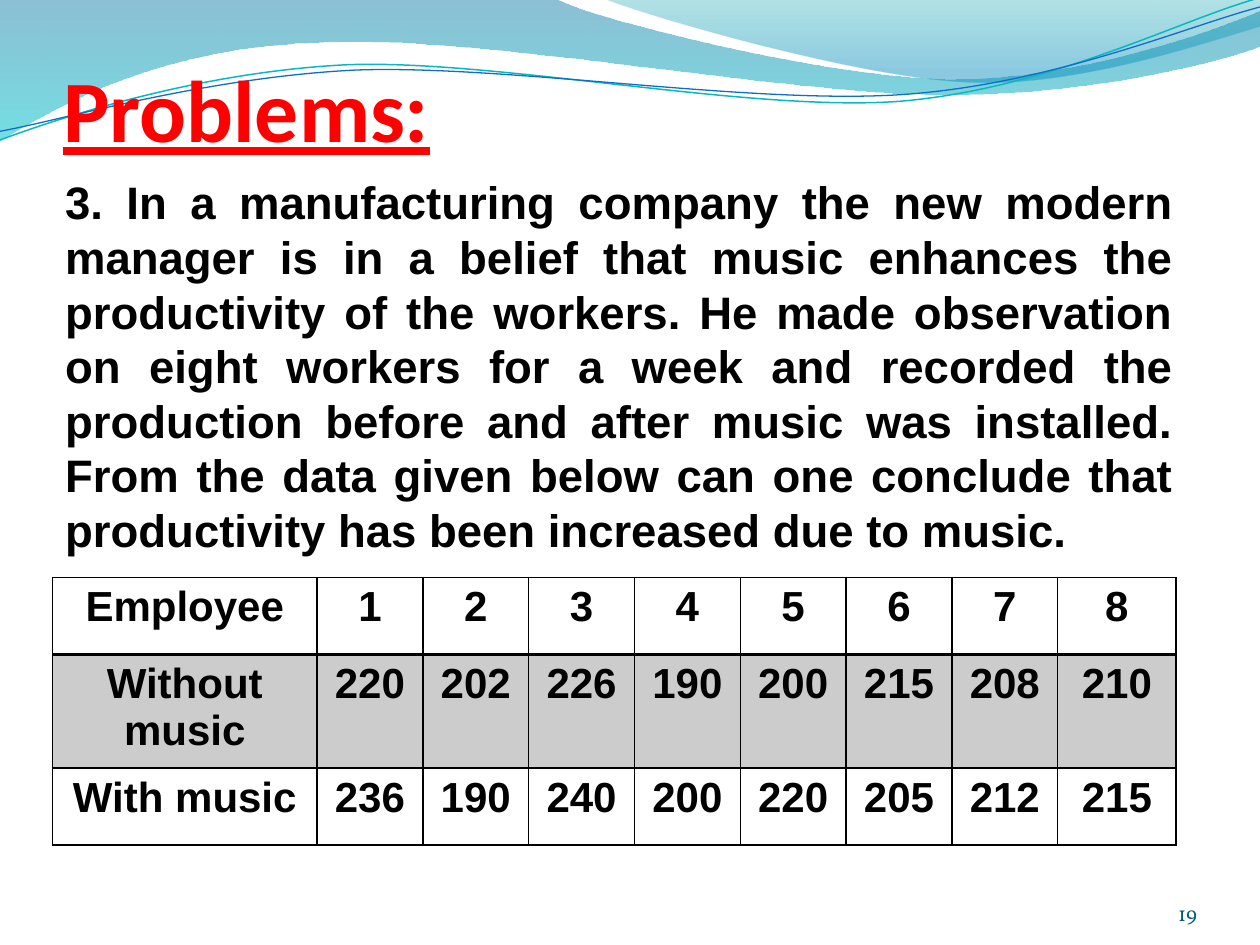
from lxml.etree import SubElement
from pptx import Presentation
from pptx.dml.color import RGBColor
from pptx.enum.text import MSO_ANCHOR, MSO_AUTO_SIZE, PP_ALIGN
from pptx.oxml.ns import qn
from pptx.util import Pt


def rgb(value):
    return RGBColor.from_string(value)


def write(frame, text, size, color="000000", font="Arial", bold=True,
          underline=False, align=PP_ALIGN.LEFT, insets=None, anchor=None):
    paragraph = frame.paragraphs[0]
    paragraph.alignment = align
    run = paragraph.add_run()
    run.text = text
    run.font.size, run.font.name = Pt(size), font
    run.font.bold, run.font.underline = bold, underline
    run.font.color.rgb = rgb(color)
    if insets:
        (frame.margin_left, frame.margin_top,
         frame.margin_right, frame.margin_bottom) = map(Pt, insets)
    if anchor is not None:
        frame.vertical_anchor = anchor
    return paragraph


deck = Presentation()
deck.slide_width, deck.slide_height = Pt(720), Pt(540)
slide = deck.slides.add_slide(deck.slide_layouts[1])
shapes = slide.shapes
title, body = slide.placeholders

# Waves: pairs are straight segments, sixes are Bezier curves
bands = [
    ([(0, 0), (317, -1), (343, 12, 478, 45, 546, 45), (614, 45, 690, 19, 720, 6),
      (721, 26), (708, 32, 626, 55, 537, 54), (448, 54, 275, 20, 185, 24),
      (93, 26, 33, 60, -1, 81)],
     [(0, "0074A1", 45), (1, "00C6CF", 55)], None),
    ([(345, -1), (366, 8, 491, 45, 554, 47), (616, 50, 692, 23, 720, 15), (720, 0)],
     [(0, "00A1A9", 30), (0.8, "008BBF", 45)], None),
    ([(0, 80), (35, 67, 114, 41, 199, 37), (284, 34, 427, 64, 513, 58),
      (600, 51, 675, 11, 719, -1)], None, ("0AB8BF", 0.85)),
    ([(0, 75), (34, 69, 118, 44, 204, 40), (290, 37, 430, 60, 516, 54),
      (602, 48, 678, 15, 720, 4)], None, ("0F6FC6", 0.75)),
]
for segments, gradient, stroke in bands:
    points = [point for segment in segments[1:]
              for point in zip(segment[::2], segment[1::2])]
    outline = shapes.build_freeform(*segments[0], scale=Pt(1))
    outline.add_line_segments(points, close=gradient is not None)
    wave = outline.convert_to_shape()
    wave.shadow.inherit = False

    # Merge each curve's three points into one Bezier segment
    straight_parts = iter(list(wave._element.iter(qn("a:lnTo"))))
    for segment in segments[1:]:
        curve = next(straight_parts)
        if len(segment) == 6:
            curve.tag = qn("a:cubicBezTo")
            for _ in range(2):
                extra = next(straight_parts)
                curve.append(extra[0])
                extra.getparent().remove(extra)

    if gradient:
        wave.line.fill.background()
        wave.fill.gradient()
        wave.fill.gradient_angle = 270
        for stop, (position, color, _) in zip(wave.fill.gradient_stops, gradient):
            stop.position = position
            stop.color.rgb = rgb(color)
        stop_colors = wave._element.iter(qn("a:srgbClr"))
        for stop_color, (_, _, opacity) in zip(stop_colors, gradient):
            SubElement(stop_color, qn("a:alpha"), val=str(opacity * 1000))
    else:
        wave.fill.background()
        wave.line.color.rgb, wave.line.width = rgb(stroke[0]), Pt(stroke[1])

# Title and problem text, brought in front of the waves
for holder, box in [(title, (36, 12.4, 648, 79)), (body, (30, 96, 648, 346))]:
    holder.left, holder.top, holder.width, holder.height = map(Pt, box)
    holder.text_frame.auto_size = MSO_AUTO_SIZE.NONE
    shapes._spTree.append(holder._element)
write(title.text_frame, "Problems:", 50, color="FF0000", font="Calibri",
      underline=True, insets=(0, 3.6, 0, 0), anchor=MSO_ANCHOR.BOTTOM)
problem = write(
    body.text_frame,
    "3. In a manufacturing company the new modern manager is in a belief that music "
    "enhances the productivity of the workers. He made observation on eight workers "
    "for a week and recorded the production before and after music was installed. "
    "From the data given below can one conclude that productivity has been increased "
    "due to music.", 26, align=PP_ALIGN.JUSTIFY)
problem.space_before, problem.line_spacing = Pt(5.2), Pt(31.2)
problem_format = problem._p.get_or_add_pPr()
problem_format.set("marL", "0")
problem_format.set("indent", "0")
SubElement(problem_format, qn("a:buNone"))

# Slide number
page_number = shapes.add_textbox(Pt(624), Pt(500.4), Pt(60), Pt(28.8))
page_number.text_frame.word_wrap = True
write(page_number.text_frame, "19", 12, color="045D75", font="Vollkorn", bold=False,
      align=PP_ALIGN.RIGHT, insets=(0, 0, 0, 0), anchor=MSO_ANCHOR.BOTTOM)

# Production table
production = [
    ["Employee", *range(1, 9)],
    ["Without music", 220, 202, 226, 190, 200, 215, 208, 210],
    ["With music", 236, 190, 240, 200, 220, 205, 212, 215],
]
table = shapes.add_table(3, 9, Pt(30), Pt(330), Pt(642.24), Pt(132)).table
for column, width in zip(table.columns, [151.2] + [60.48] * 7 + [67.68]):
    column.width = Pt(width)
for row in table.rows:
    row.height = Pt(44)
for r, values in enumerate(production):
    for c, value in enumerate(values):
        cell = table.cell(r, c)
        write(cell.text_frame, str(value), 24, align=PP_ALIGN.CENTER)
        cell_format = cell._tc.get_or_add_tcPr()
        for side in "LRTB":
            heavy = (r, side) in [(0, "B"), (1, "T")]
            border = SubElement(cell_format, qn(f"a:ln{side}"), w=str(Pt(2 if heavy else 1)))
            border_fill = SubElement(border, qn("a:solidFill"))
            SubElement(border_fill, qn("a:srgbClr"), val="000000")
        if r == 1:
            cell.fill.solid()
            cell.fill.fore_color.rgb = rgb("000000")
            shade = cell_format.find(qn("a:solidFill")).find(qn("a:srgbClr"))
            SubElement(shade, qn("a:alpha"), val="20000")
        else:
            cell.fill.background()

deck.save("out.pptx")
